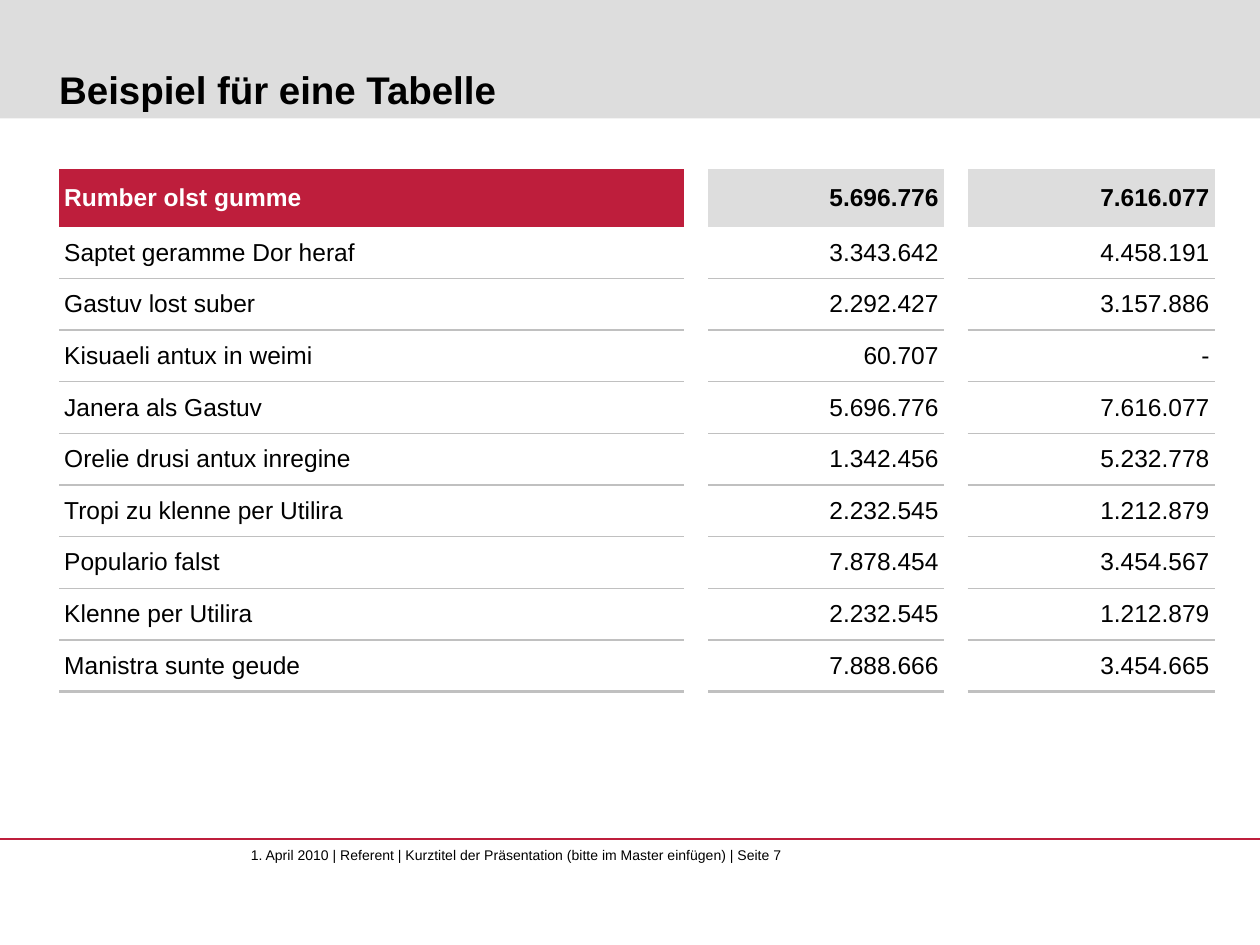
from lxml.etree import SubElement
from pptx import Presentation
from pptx.dml.color import RGBColor
from pptx.enum.shapes import MSO_CONNECTOR, MSO_SHAPE
from pptx.enum.text import MSO_ANCHOR, MSO_AUTO_SIZE, PP_ALIGN
from pptx.oxml import parse_xml
from pptx.oxml.ns import nsdecls, qn
from pptx.util import Inches, Pt

RED = RGBColor(0xBE, 0x1E, 0x3C)
LIGHT_GRAY = RGBColor(0xDD, 0xDD, 0xDD)
RULE_GRAY = RGBColor(0xC0, 0xC0, 0xC0)
BLACK = RGBColor(0, 0, 0)
WHITE = RGBColor(0xFF, 0xFF, 0xFF)

FONT = "Arial"
WIDTH, HEIGHT = Inches(10), Inches(7.5)
LEFT, CONTENT_WIDTH = Inches(0.47), Inches(9.16)
TABLE_TOP = Inches(1.34)
GAP = 0.19
COLUMN_WIDTHS = [4.96, GAP, 1.87, GAP, 1.96]
HEADER_HEIGHT, ROW_HEIGHT = 0.46, 0.41
CELL_MARGIN = Inches(0.04)
NO_STYLE = "{2D5ABB26-0587-4C30-8999-92F81FD0307C}"

ROWS = [
    ("Rumber olst gumme", "5.696.776", "7.616.077"),
    ("Saptet geramme Dor heraf", "3.343.642", "4.458.191"),
    ("Gastuv lost suber", "2.292.427", "3.157.886"),
    ("Kisuaeli antux in weimi", "60.707", "-"),
    ("Janera als Gastuv", "5.696.776", "7.616.077"),
    ("Orelie drusi antux inregine", "1.342.456", "5.232.778"),
    ("Tropi zu klenne per Utilira", "2.232.545", "1.212.879"),
    ("Populario falst", "7.878.454", "3.454.567"),
    ("Klenne per Utilira", "2.232.545", "1.212.879"),
    ("Manistra sunte geude", "7.888.666", "3.454.665"),
]
FOOTER = ("1. April 2010 | Referent | Kurztitel der Präsentation "
          "(bitte im Master einfügen) | Seite 7")


def format_paragraph(paragraph, size, color=BLACK, bold=False, align=PP_ALIGN.LEFT):
    paragraph.alignment = align
    font = paragraph.font
    font.name, font.size, font.bold = FONT, Pt(size), bold
    font.color.rgb = color


def clear_margins(frame):
    frame.margin_left = frame.margin_right = 0
    frame.margin_top = frame.margin_bottom = 0


def add_title_band(slide):
    band = slide.shapes.add_shape(MSO_SHAPE.RECTANGLE, 0, 0, WIDTH, Inches(0.94))
    band.shadow.inherit = False
    band.fill.solid()
    band.fill.fore_color.rgb = LIGHT_GRAY
    band.line.fill.background()
    # Keep the title in front of the band
    slide.shapes.title.element.addprevious(band.element)


def set_title(slide, text):
    title = slide.shapes.title
    title.left, title.top = LEFT, Inches(0.12)
    title.width, title.height = CONTENT_WIDTH, Inches(0.77)
    frame = title.text_frame
    frame.text = text
    frame.auto_size = MSO_AUTO_SIZE.NONE
    frame.vertical_anchor = MSO_ANCHOR.BOTTOM
    clear_margins(frame)
    format_paragraph(frame.paragraphs[0], 22, bold=True)


def add_footer(slide):
    y = Inches(6.66)
    line = slide.shapes.add_connector(MSO_CONNECTOR.STRAIGHT, 0, y, WIDTH, y)
    line.line.color.rgb = RED
    line.line.width = Pt(0.75)
    SubElement(line.element.spPr, qn("a:effectLst"))

    box = slide.shapes.add_textbox(Inches(1.99), Inches(6.72), Inches(5.45), Inches(0.23))
    frame = box.text_frame
    frame.word_wrap = False
    clear_margins(frame)
    frame.text = FOOTER
    format_paragraph(frame.paragraphs[0], 8)


def set_border(cell, position, tag, points):
    """Insert a horizontal border; borders come before the cell's fill."""
    cell_properties = cell.fill._xPr
    cell_properties.insert(position, parse_xml(
        f'<a:{tag} {nsdecls("a")} w="{Pt(points)}"><a:solidFill>'
        f'<a:srgbClr val="{RULE_GRAY}"/></a:solidFill></a:{tag}>'))


def format_cell(cell, text, row, column):
    is_header, is_label, is_gap = row == 0, column == 0, column % 2 == 1
    cell.margin_left = CELL_MARGIN if is_header or is_label else 0
    cell.margin_right = cell.margin_top = cell.margin_bottom = CELL_MARGIN
    cell.vertical_anchor = MSO_ANCHOR.MIDDLE
    cell.text = text
    paragraph = cell.text_frame.paragraphs[0]
    paragraph.space_before = Pt(2.8)
    format_paragraph(paragraph, 14, WHITE if is_header and is_label else BLACK,
                     is_header, PP_ALIGN.LEFT if is_label else PP_ALIGN.RIGHT)
    if is_header and not is_gap:
        cell.fill.solid()
        cell.fill.fore_color.rgb = RED if is_label else LIGHT_GRAY
        return
    cell.fill.background()
    if not is_gap:
        set_border(cell, 0, "lnB", 2.25 if row == len(ROWS) - 1 else 1)
        if row > 1:
            set_border(cell, 0, "lnT", 1)


def add_figures_table(slide):
    heights = [HEADER_HEIGHT] + [ROW_HEIGHT] * (len(ROWS) - 1)
    frame = slide.shapes.add_table(len(ROWS), len(COLUMN_WIDTHS), LEFT, TABLE_TOP,
                                   CONTENT_WIDTH, Inches(sum(heights)))
    table = frame.table
    table.first_row = table.horz_banding = False
    frame.element.find(".//" + qn("a:tableStyleId")).text = NO_STYLE
    for column, width in zip(table.columns, COLUMN_WIDTHS):
        column.width = Inches(width)
    for row, height in zip(table.rows, heights):
        row.height = Inches(height)
    # Narrow empty columns separate the three data columns
    for row, (label, first, second) in enumerate(ROWS):
        for column, text in enumerate((label, "", first, "", second)):
            format_cell(table.cell(row, column), text, row, column)


def main():
    presentation = Presentation()
    presentation.slide_width, presentation.slide_height = WIDTH, HEIGHT
    slide = presentation.slides.add_slide(presentation.slide_layouts[5])
    add_title_band(slide)
    set_title(slide, "Beispiel für eine Tabelle")
    add_figures_table(slide)
    add_footer(slide)
    presentation.save("out.pptx")


if __name__ == "__main__":
    main()
